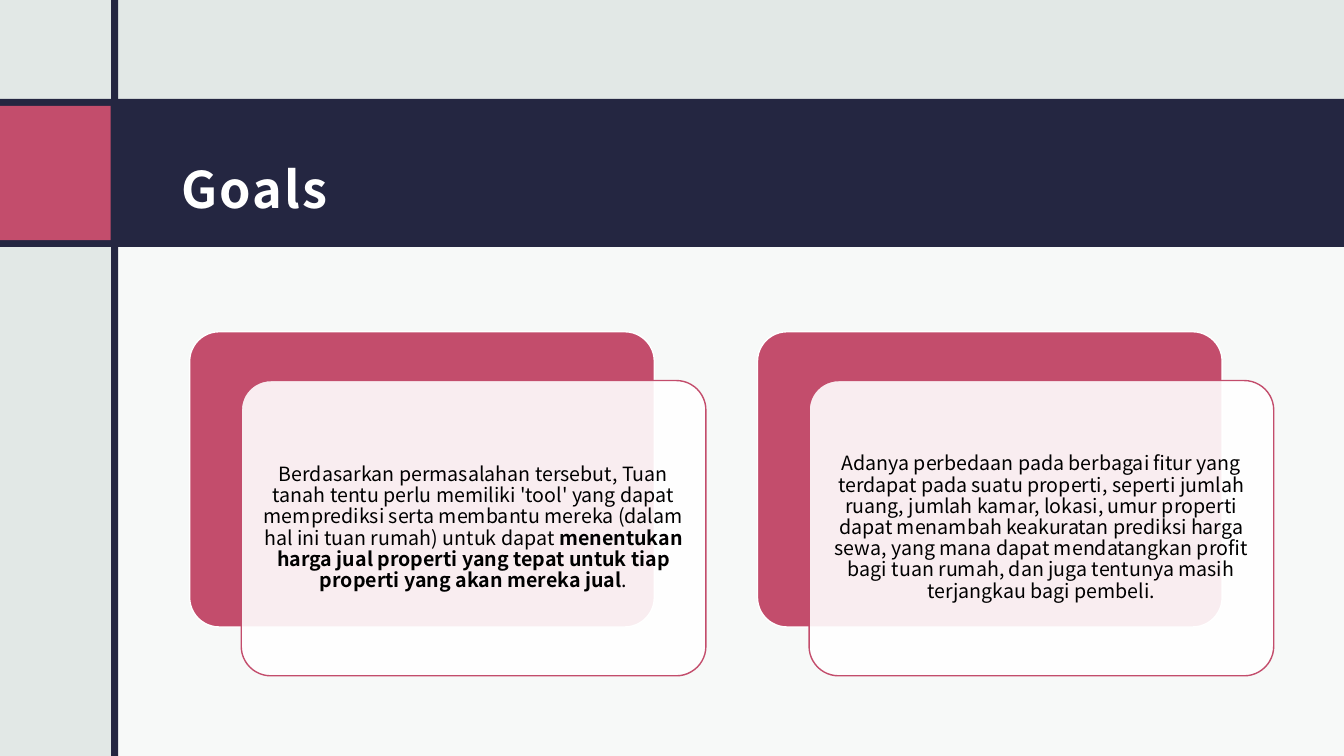
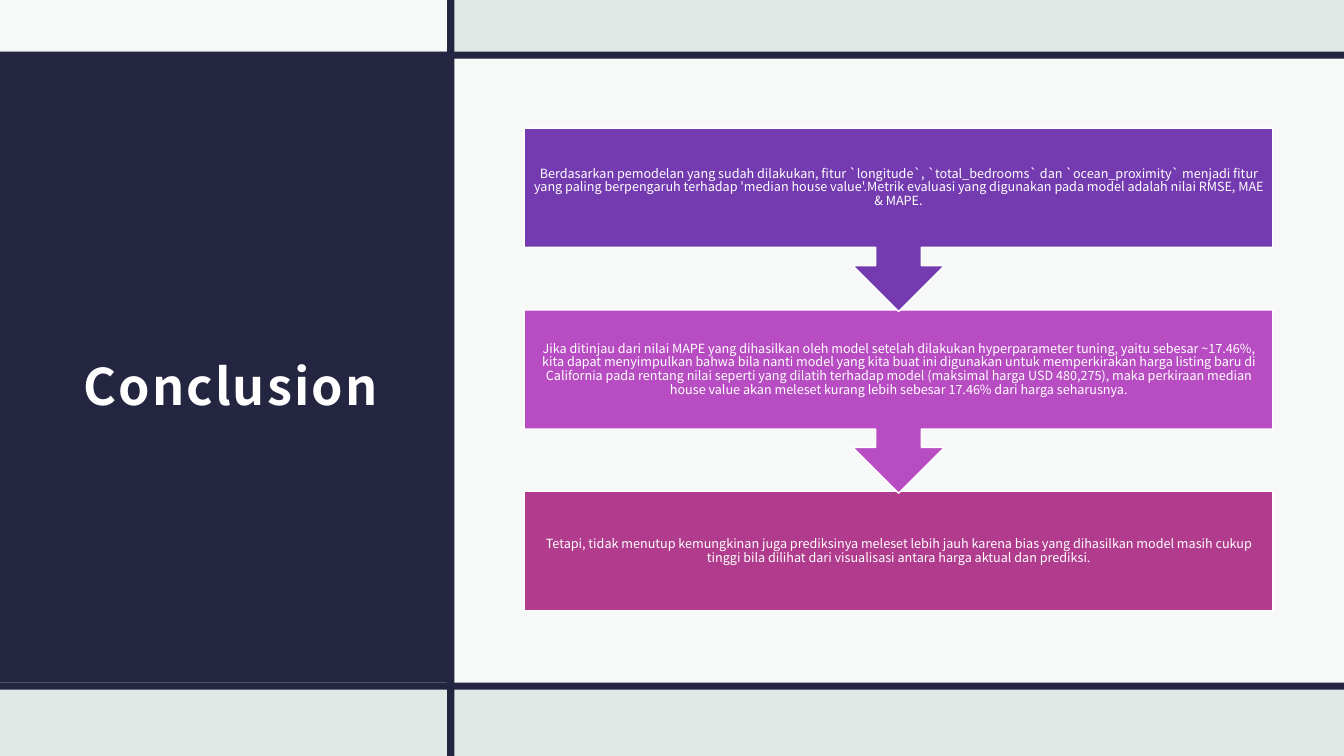
from dataclasses import dataclass

from lxml import etree
from pptx import Presentation
from pptx.dml.color import RGBColor
from pptx.enum.shapes import MSO_SHAPE
from pptx.enum.text import MSO_ANCHOR, PP_ALIGN
from pptx.oxml.ns import qn
from pptx.util import Cm, Pt

RECT = MSO_SHAPE.RECTANGLE
ROUND = MSO_SHAPE.ROUNDED_RECTANGLE
CALLOUT = MSO_SHAPE.DOWN_ARROW_CALLOUT
MIDDLE = MSO_ANCHOR.MIDDLE
LEFT = PP_ALIGN.LEFT
CENTER = PP_ALIGN.CENTER

WIDTH, HEIGHT = 33.87, 19.05
BAR = 0.18


@dataclass(frozen=True)
class Theme:
    font: str = "Noto Sans CJK JP"
    mist: str = "E2E8E6"
    navy: str = "242641"
    rose: str = "C34D6C"
    white: str = "FFFFFF"
    black: str = "000000"
    steps: tuple = ("743BB1", "B84DC3", "B13B8C")
    title_size: int = 36
    card_size: int = 14
    step_size: int = 9
    title_tracking: int = 150
    panel_alpha: int = 75
    card_alpha: int = 90


def set_all(obj, values):
    for name, value in values.items():
        setattr(obj, name, value)


class Deck:
    def __init__(self, theme):
        self.theme = theme
        self.prs = Presentation()
        self.prs.slide_width = Cm(WIDTH)
        self.prs.slide_height = Cm(HEIGHT)
        self.s = None

    def new_slide(self):
        self.s = self.prs.slides.add_slide(self.prs.slide_layouts[6])
        fill = self.s.background.fill
        fill.solid()
        fill.fore_color.rgb = RGBColor.from_string(self.theme.mist)

    def shape(self, box, color, kind=RECT, line=None, alpha=None):
        sp = self.s.shapes.add_shape(kind, *map(Cm, box))
        sp.shadow.inherit = False
        sp.fill.solid()
        sp.fill.fore_color.rgb = RGBColor.from_string(color)
        if alpha is not None:
            clr = sp.fill._xPr.find(qn("a:solidFill"))[0]
            etree.SubElement(clr, qn("a:alpha"), val=str(alpha * 1000))
        if line:
            sp.line.color.rgb = RGBColor.from_string(line)
            sp.line.width = Pt(1)
        else:
            sp.line.fill.background()
        return sp

    def panel(self, box):
        self.shape(box, self.theme.white, alpha=self.theme.panel_alpha)

    def vertical_bar(self, x):
        self.shape((x, 0, BAR, HEIGHT), self.theme.navy)

    def horizontal_bar(self, y):
        self.shape((0, y, WIDTH, BAR), self.theme.navy)

    def text(self, sp, runs, size, color, insets, align=CENTER, spacing=0.9):
        tf = sp.text_frame
        sides = ("margin_left", "margin_top", "margin_right", "margin_bottom")
        set_all(tf, dict(zip(sides, map(Cm, insets))))
        set_all(tf, {"word_wrap": True, "vertical_anchor": MIDDLE})
        p = tf.paragraphs[0]
        set_all(p, {"alignment": align, "line_spacing": spacing})
        for words, bold in runs:
            r = p.add_run()
            r.text = words
            set_all(r.font, {"name": self.theme.font, "size": Pt(size), "bold": bold})
            r.font.color.rgb = RGBColor.from_string(color)
        return p

    def title(self, box, words):
        t = self.theme
        sp = self.s.shapes.add_textbox(*map(Cm, box))
        p = self.text(sp, [(words, True)], t.title_size, t.white,
                      (0.3, 0.3, 0.3, 0.25), LEFT, 1.5)
        p.runs[0].font._element.set("spc", str(t.title_tracking))

    def card(self, x, y, runs):
        t = self.theme
        w, h = 11.71, 7.44
        back = self.shape((x, y, w, h), t.rose, ROUND, t.white)
        front = self.shape((x + 1.3, y + 1.23, w, h), t.white, ROUND, t.rose,
                           t.card_alpha)
        for sp in (back, front):
            sp.adjustments[0] = 0.1
        self.text(front, runs, t.card_size, t.black, (0.15,) * 4)

    def step(self, box, color, words, kind):
        t = self.theme
        sp = self.shape(box, color, kind, t.white)
        self.text(sp, [(words, False)], t.step_size, t.white, (0.18,) * 4)


GOALS = [
    [("Berdasarkan permasalahan tersebut, Tuan tanah tentu perlu memiliki 'tool' "
      "yang dapat memprediksi serta membantu mereka (dalam hal ini tuan rumah) "
      "untuk dapat ", False),
     ("menentukan harga jual properti yang tepat untuk tiap properti yang akan "
      "mereka jual", True),
     (".", False)],
    [("Adanya perbedaan pada berbagai fitur yang terdapat pada suatu properti, "
      "seperti jumlah ruang, jumlah kamar, lokasi, umur properti dapat menambah "
      "keakuratan prediksi harga sewa, yang mana dapat mendatangkan profit bagi "
      "tuan rumah, dan juga tentunya masih terjangkau bagi pembeli.", False)],
]

CONCLUSIONS = [
    "Berdasarkan pemodelan yang sudah dilakukan, fitur `longitude`, "
    "`total_bedrooms` dan `ocean_proximity` menjadi fitur yang paling berpengaruh "
    "terhadap 'median house value'.Metrik evaluasi yang digunakan pada model "
    "adalah nilai RMSE, MAE & MAPE.",
    "Jika ditinjau dari nilai MAPE yang dihasilkan oleh model setelah dilakukan "
    "hyperparameter tuning, yaitu sebesar ~17.46%, kita dapat menyimpulkan bahwa "
    "bila nanti model yang kita buat ini digunakan untuk memperkirakan harga "
    "listing baru di California pada rentang nilai seperti yang dilatih terhadap "
    "model (maksimal harga USD 480,275), maka perkiraan median house value akan "
    "meleset kurang lebih sebesar 17.46% dari harga seharusnya.",
    "Tetapi, tidak menutup kemungkinan juga prediksinya meleset lebih jauh karena "
    "bias yang dihasilkan model masih cukup tinggi bila dilihat dari visualisasi "
    "antara harga aktual dan prediksi.",
]


def goals_slide(deck):
    t = deck.theme
    deck.new_slide()
    deck.panel((2.9, 5.92, WIDTH - 2.9, HEIGHT - 5.92))
    deck.shape((0, 2.49, WIDTH, 3.73), t.navy)
    deck.title((4.27, 2.9, 27.81, 2.87), "Goals")
    deck.shape((0, 2.67, 2.79, 3.38), t.rose)
    deck.vertical_bar(2.8)
    for i, runs in enumerate(GOALS):
        deck.card(4.78 + i * 14.31, 8.36, runs)


def conclusion_slide(deck):
    t = deck.theme
    deck.new_slide()
    deck.shape((0, 1.3, 11.28, 15.9), t.navy)
    deck.title((1.8, 3.33, 8.66, 11.96), "Conclusion")
    deck.panel((0, 0, 11.28, 1.4))
    deck.panel((11.45, 1.48, WIDTH - 11.45, 15.8))
    deck.vertical_bar(11.27)
    for y in (17.2, 1.3):
        deck.horizontal_bar(y)
    last = len(CONCLUSIONS) - 1
    for i in range(last, -1, -1):
        kind, h = (RECT, 3) if i == last else (CALLOUT, 4.62)
        box = (13.21, 3.23 + i * 4.58, 18.87, h)
        deck.step(box, t.steps[i], CONCLUSIONS[i], kind)


def main():
    deck = Deck(Theme())
    goals_slide(deck)
    conclusion_slide(deck)
    deck.prs.save("out.pptx")


if __name__ == "__main__":
    main()
